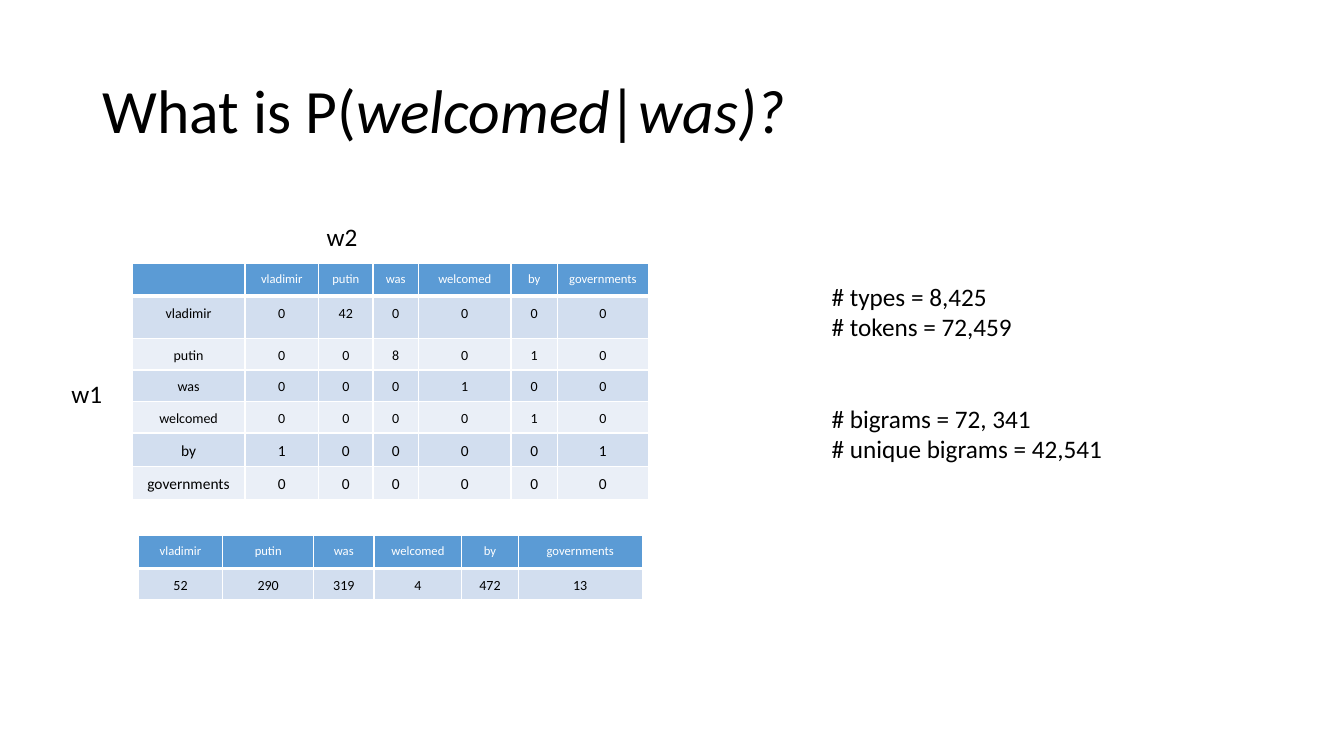
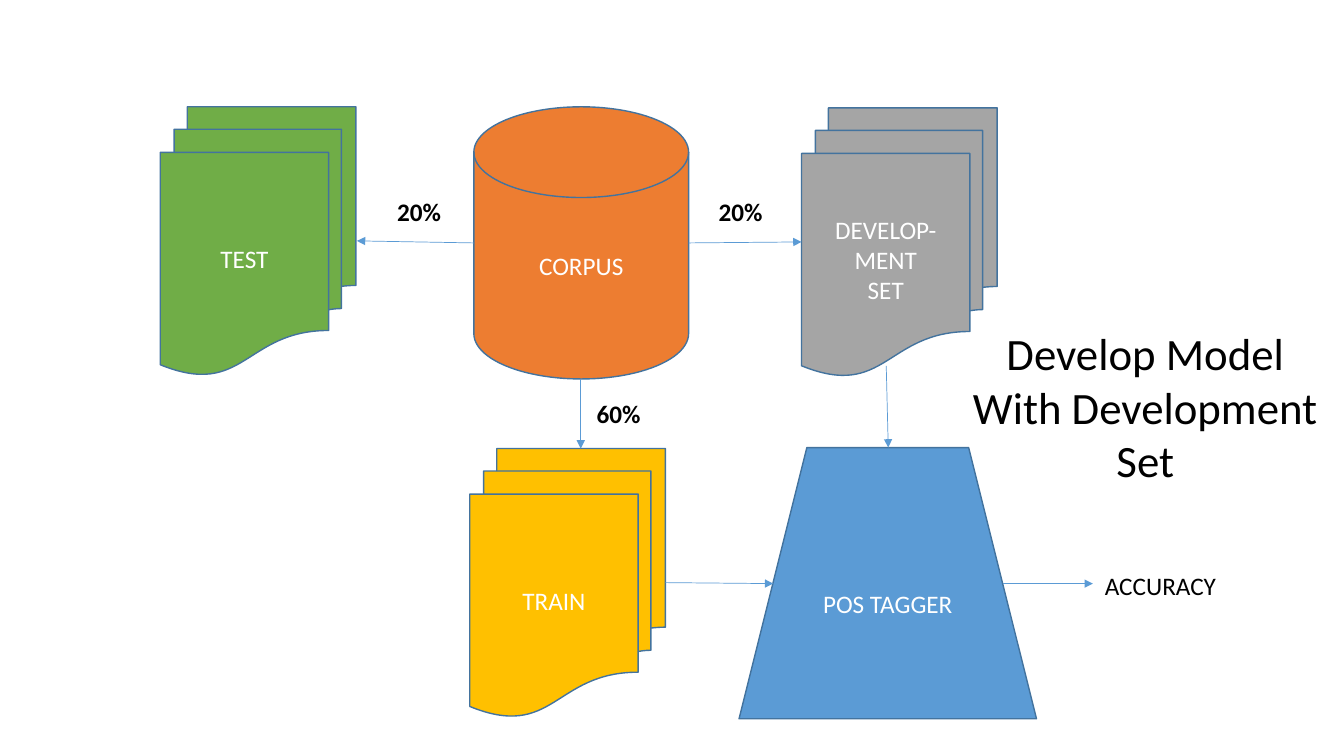
from dataclasses import dataclass

from lxml.etree import SubElement
from pptx import Presentation
from pptx.dml.color import RGBColor
from pptx.enum.shapes import MSO_CONNECTOR, MSO_SHAPE
from pptx.enum.text import MSO_ANCHOR, PP_ALIGN
from pptx.oxml import parse_xml
from pptx.oxml.ns import nsdecls, qn
from pptx.util import Emu, Pt

PX = 9144  # one px is a hundredth of an inch


@dataclass(frozen=True)
class Theme:
    font: str = "Calibri"
    black: str = "000000"
    white: str = "FFFFFF"
    blue: str = "5B9BD5"
    outline: str = "43739E"
    orange: str = "ED7D31"
    grey: str = "A5A5A5"
    yellow: str = "FFC000"
    green: str = "70AD47"
    bands: tuple = ("D2DEEF", "EAEFF7")
    title: int = 44
    callout: int = 32
    body: int = 18
    header: int = 9


THEME = Theme()

# Bigram slide
TITLE = [("What is P(", False), ("welcomed|was)?", True)]
TITLE_BOX = (92, 40, 1150, 145)
WORDS = ["vladimir", "putin", "was", "welcomed", "by", "governments"]
BIGRAM_COUNTS = [
    [0, 42, 0, 0, 0, 0],
    [0, 0, 8, 0, 1, 0],
    [0, 0, 0, 1, 0, 0],
    [0, 0, 0, 0, 1, 0],
    [1, 0, 0, 0, 0, 1],
    [0, 0, 0, 0, 0, 0],
]
WORD_COUNTS = [52, 290, 319, 4, 472, 13]
TABLES = [
    dict(origin=(137, 531), columns=[84, 90, 60, 87, 56, 123], heights=[33, 31],
         sizes=[10], rows=[WORDS, WORD_COUNTS]),
    dict(origin=(131, 261), columns=[112, 73, 54, 45, 92, 46, 90],
         heights=[33, 42, 31, 26, 26, 26, 26], sizes=[10, 10, 10, 10, 11, 11],
         rows=[["", *WORDS],
               *([word, *counts] for word, counts in zip(WORDS, BIGRAM_COUNTS))]),
]
AXIS_LABELS = [("w1", (61, 370, 51, 40)), ("w2", (314, 215, 51, 40))]
STATISTICS = ["# types = 8,425", "# tokens = 72,459",
              "# bigrams = 72, 341", "# unique bigrams = 42,541"]
STATISTICS_BOX = (815, 274, 292, 192)
STATISTICS_GAP = 44  # points before the bigram lines

# Corpus slide
DOCUMENTS = MSO_SHAPE.FLOWCHART_MULTIDOCUMENT
NODES = [
    (MSO_SHAPE.FLOWCHART_MAGNETIC_DISK, (470, 106, 213, 270), THEME.orange, ["CORPUS"]),
    (MSO_SHAPE.TRAPEZOID, (733, 444, 295, 269), THEME.blue, ["POS TAGGER"]),
    (DOCUMENTS, (795, 107, 194, 266), THEME.grey, ["DEVELOP-", "MENT", "SET"]),
    (DOCUMENTS, (466, 445, 194, 266), THEME.yellow, ["TRAIN"]),
    (DOCUMENTS, (159, 106, 194, 266), THEME.green, ["TEST"]),
]
ARROWS = [
    (576, 376, 576, 445),   # corpus to train
    (683, 241, 795, 240),   # corpus to development set
    (470, 241, 354, 239),   # corpus to test
    (879, 363, 881, 444),   # development set to tagger
    (660, 578, 767, 579),   # train to tagger
    (995, 579, 1084, 579),  # tagger to accuracy
]
SHARES = [("20%", (703, 190, 68, 40)), ("60%", (582, 390, 68, 40)),
          ("20%", (384, 190, 68, 40))]
ACCURACY_BOX = (1086, 561, 132, 40)
CALLOUT = ["Develop Model", "With Development", "Set"]
CALLOUT_BOX = (953, 318, 366, 172)


def px(*lengths):
    return [Emu(length * PX) for length in lengths]


def rgb(value):
    return RGBColor.from_string(value)


def style(run, size, color, bold=False, italic=False):
    font = run.font
    font.name, font.size = THEME.font, Pt(size)
    font.bold, font.italic = bold, italic
    font.color.rgb = rgb(color)


def write(text_frame, lines, size, color=THEME.black, align=PP_ALIGN.LEFT,
          bold=False, spacing=None):
    text_frame.text = "\n".join(lines)
    for paragraph in text_frame.paragraphs:
        paragraph.alignment = align
        paragraph.line_spacing = spacing
        for run in paragraph.runs:
            style(run, size, color, bold)
    return text_frame


def add_text(slide, box, lines, size=THEME.body, **options):
    text_frame = slide.shapes.add_textbox(*px(*box)).text_frame
    text_frame.word_wrap = False
    return write(text_frame, lines, size, **options)


def add_title(slide):
    text_frame = slide.shapes.add_textbox(*px(*TITLE_BOX)).text_frame
    text_frame.word_wrap = True
    text_frame.vertical_anchor = MSO_ANCHOR.MIDDLE
    paragraph = text_frame.paragraphs[0]
    paragraph.line_spacing = 0.9
    for text, italic in TITLE:
        run = paragraph.add_run()
        run.text = text
        style(run, THEME.title, THEME.black, italic=italic)


def set_borders(cell, bottom):
    properties = cell._tc.get_or_add_tcPr()
    for index, (side, width) in enumerate(zip("LRTB", (1, 1, 1, bottom))):
        properties.insert(index, parse_xml(
            f'<a:ln{side} {nsdecls("a")} w="{Pt(width)}"><a:solidFill>'
            f'<a:srgbClr val="{THEME.white}"/></a:solidFill></a:ln{side}>'))


def add_table(slide, origin, columns, heights, sizes, rows):
    table = slide.shapes.add_table(
        len(rows), len(columns),
        *px(*origin, sum(columns), sum(heights))).table
    for column, width in zip(table.columns, columns):
        column.width = Emu(width * PX)
    for row, height in zip(table.rows, heights):
        row.height = Emu(height * PX)
    for row_index, (values, size) in enumerate(zip(rows, [THEME.header, *sizes])):
        is_header = row_index == 0
        fill = THEME.blue if is_header else THEME.bands[(row_index - 1) % 2]
        color = THEME.white if is_header else THEME.black
        for column_index, value in enumerate(values):
            cell = table.cell(row_index, column_index)
            cell.margin_left, cell.margin_right, cell.margin_top, cell.margin_bottom = px(
                10, 10, 6, 6)
            set_borders(cell, bottom=3 if is_header else 1)
            cell.fill.solid()
            cell.fill.fore_color.rgb = rgb(fill)
            write(cell.text_frame, [str(value)], size, color, PP_ALIGN.CENTER, spacing=1.15)
            if value == "":  # an empty cell keeps the small type size
                SubElement(cell.text_frame.paragraphs[0]._p, qn("a:endParaRPr"),
                           sz=str(size * 100))


def add_node(slide, kind, box, fill, lines):
    shape = slide.shapes.add_shape(kind, *px(*box))
    shape.shadow.inherit = False
    shape.fill.solid()
    shape.fill.fore_color.rgb = rgb(fill)
    shape.line.color.rgb = rgb(THEME.outline)
    shape.line.width = Pt(1)
    shape.text_frame.vertical_anchor = MSO_ANCHOR.MIDDLE
    write(shape.text_frame, lines, THEME.body, THEME.white, PP_ALIGN.CENTER)


def add_arrow(slide, ends):
    connector = slide.shapes.add_connector(MSO_CONNECTOR.STRAIGHT, *px(*ends))
    connector.line.color.rgb = rgb(THEME.blue)
    connector.line.width = Pt(0.5)
    SubElement(connector.line._get_or_add_ln(), qn("a:tailEnd"), type="triangle")
    SubElement(connector._element.spPr, qn("a:effectLst"))


def build_bigram_slide(slide):
    add_title(slide)
    for table in TABLES:
        add_table(slide, **table)
    for label, box in AXIS_LABELS:
        add_text(slide, box, [label])
    statistics = add_text(slide, STATISTICS_BOX, STATISTICS)
    statistics.paragraphs[2].space_before = Pt(STATISTICS_GAP)


def build_corpus_slide(slide):
    for node in NODES:
        add_node(slide, *node)
    for ends in ARROWS:
        add_arrow(slide, ends)
    for share, box in SHARES:
        add_text(slide, box, [share], bold=True)
    add_text(slide, ACCURACY_BOX, ["ACCURACY"])
    add_text(slide, CALLOUT_BOX, CALLOUT, THEME.callout, align=PP_ALIGN.CENTER)


def main():
    presentation = Presentation()
    presentation.slide_width, presentation.slide_height = px(1333, 750)
    blank = presentation.slide_layouts[6]
    for build in (build_bigram_slide, build_corpus_slide):
        build(presentation.slides.add_slide(blank))
    presentation.save("out.pptx")


if __name__ == "__main__":
    main()
